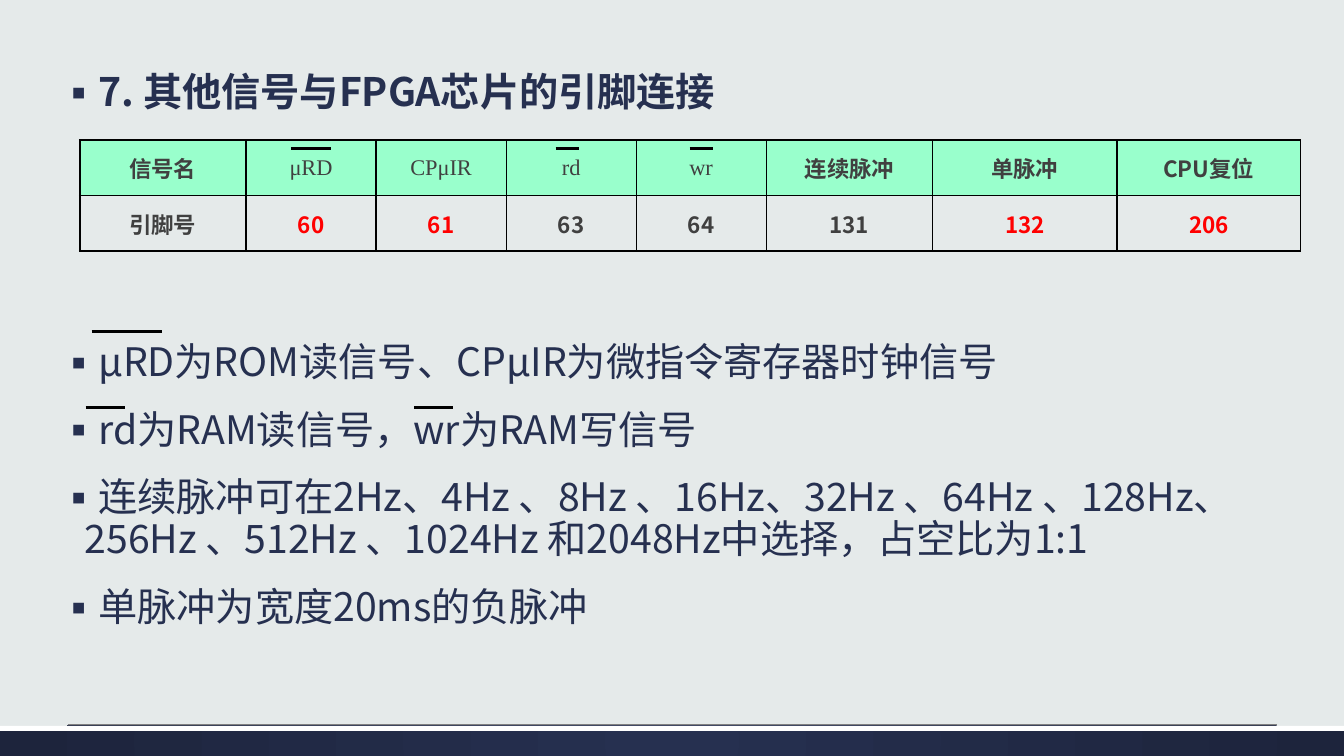
import pptx
import pptx.util
import pptx.dml.color
import pptx.enum.shapes
import pptx.enum.text
import pptx.oxml
import pptx.oxml.ns
from lxml import etree

Inches = pptx.util.Inches
Pt = pptx.util.Pt
RGBColor = pptx.dml.color.RGBColor
qn = pptx.oxml.ns.qn

BACKGROUND = RGBColor(0xE5, 0xEA, 0xEA)
NAVY = RGBColor(0x26, 0x30, 0x50)
DEEP_NAVY = RGBColor(0x1D, 0x24, 0x3C)
WHITE = RGBColor(0xFF, 0xFF, 0xFF)
BLACK = RGBColor(0, 0, 0)
RULE_GREY = RGBColor(0x80, 0x80, 0x80)
CELL_GREY = RGBColor(0x40, 0x40, 0x40)
RED = RGBColor(0xFF, 0, 0)
MINT = RGBColor(0x99, 0xFF, 0xCC)
SANS = "Noto Sans CJK SC"
SERIF = "Times New Roman"

# Signal name, its font, bold, pin number, pin colour, column width
SIGNALS = [
    ("信号名", SERIF, True, "引脚号", CELL_GREY, 1.65),
    ("μRD", SERIF, False, "60", RED, 1.29),
    ("CPμIR", SERIF, False, "61", RED, 1.29),
    ("rd", SERIF, False, "63", CELL_GREY, 1.29),
    ("wr", SERIF, False, "64", CELL_GREY, 1.29),
    ("连续脉冲", SERIF, True, "131", CELL_GREY, 1.65),
    ("单脉冲", SERIF, True, "132", RED, 1.83),
    ("CPU复位", SANS, True, "206", RED, 1.82),
]
NOTES = [
    "μRD为ROM读信号、CPμIR为微指令寄存器时钟信号",
    "rd为RAM读信号，wr为RAM写信号",
    "连续脉冲可在2Hz、4Hz 、8Hz 、16Hz、32Hz 、64Hz 、128Hz、256Hz 、512Hz 、"
    "1024Hz 和2048Hz中选择，占空比为1:1",
    "单脉冲为宽度20ms的负脉冲",
]
# Left, right, height of the bars over active-low signal names
OVERBARS = [
    (2.89, 3.28, 1.47), (5.51, 5.74, 1.47), (6.84, 7.07, 1.47),
    (0.91, 1.61, 3.29), (0.85, 1.24, 4.04), (4.11, 4.49, 4.04),
]


def write(paragraph, text, *, size=28, font=SANS, color=NAVY, bold=False, align="LEFT"):
    paragraph.alignment = getattr(pptx.enum.text.PP_ALIGN, align)
    run = paragraph.add_run()
    run.text = text
    run.font.size = Pt(size)
    run.font.name = font
    run.font.bold = bold
    run.font.color.rgb = color
    east_asian = etree.SubElement(run.font._element, qn("a:ea"))
    east_asian.set("typeface", SANS)


class SlideBuilder:
    def __init__(self, deck):
        layout = deck.slide_layouts.get_by_name("Title Only")
        self.slide = deck.slides.add_slide(layout)
        self.shapes = self.slide.shapes
        self.slide.background.fill.solid()
        self.slide.background.fill.fore_color.rgb = BACKGROUND

    def band(self, top, height, color):
        strip = self.shapes.add_shape(
            pptx.enum.shapes.MSO_SHAPE.RECTANGLE,
            0, Inches(top), Inches(13.33), Inches(height))
        strip.shadow.inherit = False
        strip.line.fill.background()
        strip.fill.solid()
        strip.fill.fore_color.rgb = color
        return strip

    def radial_band(self, top, height, inner, outer):
        strip = self.band(top, height, inner)
        strip.fill.gradient()
        for stop, color in zip(strip.fill.gradient_stops, (inner, outer)):
            stop.color.rgb = color
        gradient = strip._element.spPr.find(qn("a:gradFill"))
        gradient.remove(gradient.find(qn("a:lin")))
        circle = etree.SubElement(gradient, qn("a:path"))
        circle.set("path", "circle")
        focus = etree.SubElement(circle, qn("a:fillToRect"))
        for side in "ltrb":
            focus.set(side, "50000")

    def line(self, left, right, y, color=BLACK, width=2):
        stroke = self.shapes.add_connector(
            pptx.enum.shapes.MSO_CONNECTOR.STRAIGHT,
            Inches(left), Inches(y), Inches(right), Inches(y))
        stroke.line.color.rgb = color
        stroke.line.width = Pt(width)
        etree.SubElement(stroke._element.spPr, qn("a:effectLst"))

    def bullets(self, frame, texts, bold=False):
        frame.word_wrap = True
        frame.auto_size = pptx.enum.text.MSO_AUTO_SIZE.NONE
        frame.vertical_anchor = pptx.enum.text.MSO_ANCHOR.TOP
        for index, text in enumerate(texts):
            paragraph = frame.add_paragraph() if index else frame.paragraphs[0]
            write(paragraph, text, bold=bold)
            paragraph.line_spacing = 0.9
            paragraph.space_before = Pt(18)
            properties = paragraph._p.get_or_add_pPr()
            properties.set("marL", str(Inches(0.3)))
            properties.set("indent", str(Inches(-0.25)))
            tint = etree.SubElement(properties, qn("a:buClr"))
            etree.SubElement(tint, qn("a:srgbClr")).set("val", str(NAVY))
            etree.SubElement(properties, qn("a:buFont")).set("typeface", SANS)
            etree.SubElement(properties, qn("a:buChar")).set("char", "▪")

    def heading(self, text, left, top, width, height):
        title = self.shapes.title
        title.left, title.top = Inches(left), Inches(top)
        title.width, title.height = Inches(width), Inches(height)
        self.bullets(title.text_frame, [text], bold=True)

    def notes(self, texts, left, top, width, height):
        body = self.shapes.add_textbox(
            Inches(left), Inches(top), Inches(width), Inches(height))
        self.bullets(body.text_frame, texts)

    def borders(self, cell, outer_sides):
        properties = cell._tc.get_or_add_tcPr()
        for position, side in enumerate("LRTB"):
            edge = etree.Element(qn("a:ln" + side))
            edge.set("w", str(Pt(1.5 if side in outer_sides else 1)))
            solid = etree.SubElement(edge, qn("a:solidFill"))
            etree.SubElement(solid, qn("a:srgbClr")).set("val", str(BLACK))
            properties.insert(position, edge)

    def cell(self, cell, text, fill, outer_sides, **style):
        cell.margin_top = cell.margin_bottom = 0
        cell.vertical_anchor = pptx.enum.text.MSO_ANCHOR.MIDDLE
        if fill is None:
            cell.fill.background()
        else:
            cell.fill.solid()
            cell.fill.fore_color.rgb = fill
        self.borders(cell, outer_sides)
        write(cell.text_frame.paragraphs[0], text, size=16, align="CENTER", **style)

    def pin_table(self, signals, left, top, row_height):
        total = sum(signal[-1] for signal in signals)
        pins = self.shapes.add_table(
            2, len(signals), Inches(left), Inches(top),
            Inches(total), Inches(2 * row_height)).table
        pins.first_row = pins.horz_banding = False
        for row in pins.rows:
            row.height = Inches(row_height)
        last = len(signals) - 1
        for column, (name, font, bold, pin, color, width) in enumerate(signals):
            pins.columns[column].width = Inches(width)
            ends = ("L" if column == 0 else "") + ("R" if column == last else "")
            self.cell(pins.cell(0, column), name, MINT, ends + "T",
                      font=font, bold=bold, color=CELL_GREY)
            self.cell(pins.cell(1, column), pin, None, ends + "B",
                      font=SANS, bold=True, color=color)


def main():
    deck = pptx.Presentation()
    deck.slide_width, deck.slide_height = Inches(13.33), Inches(7.5)
    page = SlideBuilder(deck)

    # Footer band
    page.radial_band(7.2, 0.3, NAVY, DEEP_NAVY)
    page.band(7.2, 0.05, WHITE)
    page.line(0.67, 12.67, 7.19, RULE_GREY, 0.75)

    # Heading and explanations
    page.heading("7. 其他信号与FPGA芯片的引脚连接", 0.44, 0.67, 12.45, 0.6)
    page.notes(NOTES, 0.44, 3.35, 12.45, 3.39)

    # Pin assignments
    page.pin_table(SIGNALS, 0.79, 1.39, 0.55)

    # Active-low marks
    for left, right, y in OVERBARS:
        page.line(left, right, y)

    deck.save("out.pptx")


if __name__ == "__main__":
    main()
